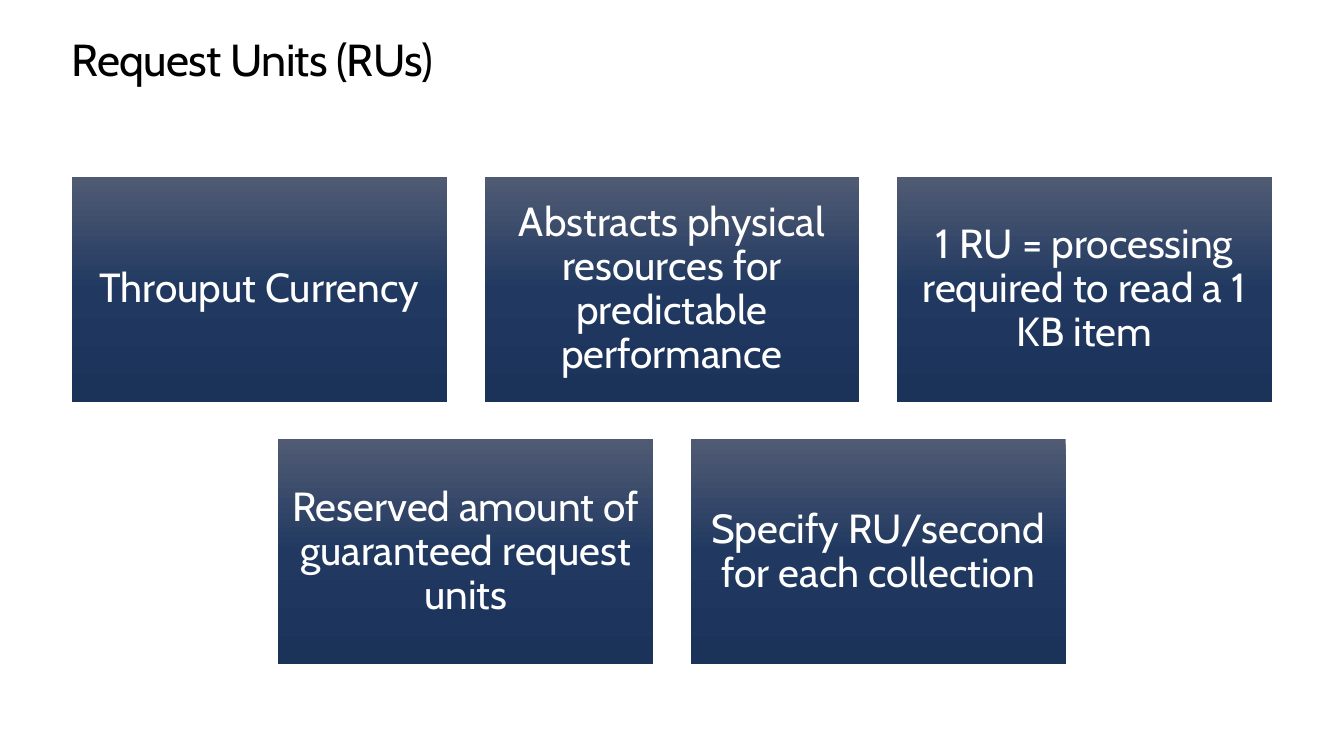
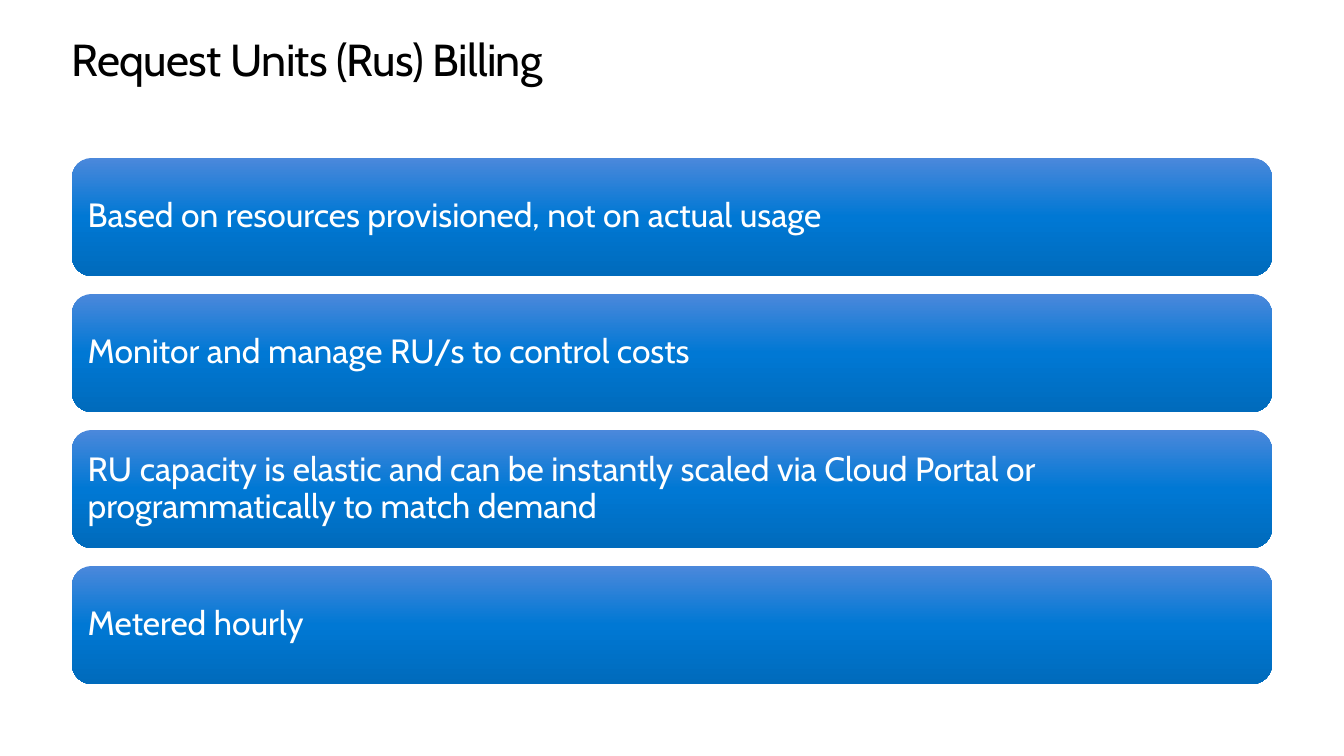
from copy import deepcopy

from pptx import Presentation
from pptx.dml.color import RGBColor
from pptx.enum.shapes import MSO_SHAPE as Shape
from pptx.enum.text import MSO_ANCHOR as Anchor, PP_ALIGN as Align
from pptx.oxml.ns import qn
from pptx.util import Pt

UNITS_TITLE = "Request Units (RUs)"
UNITS_ROWS = [
    [
        "Throuput Currency",
        "Abstracts physical resources for predictable performance",
        "1 RU = processing required to read a 1 KB item",
    ],
    [
        "Reserved amount of guaranteed request units",
        "Specify RU/second for each collection",
    ],
]
BILLING_TITLE = "Request Units (Rus) Billing"
BILLING_POINTS = [
    "Based on resources provisioned, not on actual usage",
    "Monitor and manage RU/s to control costs",
    "RU capacity is elastic and can be instantly scaled via Cloud Portal or "
    "programmatically to match demand",
    "Metered hourly",
]

FONT = "Cabin"
BLACK, WHITE = "000000", "FFFFFF"
NAVY = ["505B73", "213961", "1B3259"]
BLUE = ["4B88DB", "0078D4", "006BBC"]

SLIDE_W, SLIDE_H = 1344, 756
LEFT, CONTENT_W = 72, 1200
TITLE_TOP, TITLE_H = 35, 50
CARD_W, CARD_H, CARDS_TOP = 375, 225, 177
BAR_H, BAR_GAP, BARS_TOP = 118, 18, 158


def px(length):
    return round(length * 914400 / 100.8)


def color(hex_code):
    return RGBColor.from_string(hex_code)


def write(shape, text, size, ink=WHITE, align=Align.LEFT, anchor=Anchor.MIDDLE,
          inset=0, line_spacing=0.9, tracking=None):
    """Set the shape's text; tracking is in hundredths of a point."""
    frame = shape.text_frame
    frame.word_wrap = True
    frame.vertical_anchor = anchor
    frame.margin_left = frame.margin_right = px(inset)
    frame.margin_top = frame.margin_bottom = px(min(inset, 12))
    paragraph = frame.paragraphs[0]
    paragraph.alignment = align
    paragraph.line_spacing = line_spacing
    run = paragraph.add_run()
    run.text = text
    run.font.name = FONT
    run.font.size = Pt(size)
    run.font.color.rgb = color(ink)
    if tracking is not None:
        run.font._element.set("spc", str(tracking))


def fill_gradient(shape, colors):
    """Spread the colours evenly from top to bottom."""
    shape.fill.gradient()
    shape.fill.gradient_angle = 270
    stop_list = shape._element.spPr.find(qn("a:gradFill")).find(qn("a:gsLst"))
    while len(stop_list) < len(colors):
        stop_list.append(deepcopy(stop_list[-1]))
    for i, (stop, hex_code) in enumerate(zip(shape.fill.gradient_stops, colors)):
        stop.position = i / (len(colors) - 1)
        stop.color.rgb = color(hex_code)


def add_panel(slide, preset, left, top, width, height, colors, text, **text_format):
    panel = slide.shapes.add_shape(preset, px(left), px(top), px(width), px(height))
    panel.shadow.inherit = False
    panel.line.fill.background()
    fill_gradient(panel, colors)
    write(panel, text, **text_format)


def add_titled_slide(prs, title):
    slide = prs.slides.add_slide(prs.slide_layouts[6])
    heading = slide.shapes.add_textbox(px(LEFT), px(TITLE_TOP), px(CONTENT_W), px(TITLE_H))
    write(heading, title, size=32, ink=BLACK, anchor=Anchor.TOP,
          line_spacing=Pt(36.2), tracking=-50)
    return slide


def build_units(prs):
    slide = add_titled_slide(prs, UNITS_TITLE)
    columns = max(len(row) for row in UNITS_ROWS)
    gap = (CONTENT_W - columns * CARD_W) / (columns - 1)
    for r, row in enumerate(UNITS_ROWS):
        row_w = len(row) * (CARD_W + gap) - gap
        row_left = LEFT + (CONTENT_W - row_w) / 2
        for c, text in enumerate(row):
            add_panel(slide, Shape.RECTANGLE, row_left + c * (CARD_W + gap),
                      CARDS_TOP + r * (CARD_H + gap), CARD_W, CARD_H, NAVY, text,
                      size=29, align=Align.CENTER, inset=12)


def build_billing(prs):
    slide = add_titled_slide(prs, BILLING_TITLE)
    for i, text in enumerate(BILLING_POINTS):
        add_panel(slide, Shape.ROUNDED_RECTANGLE, LEFT, BARS_TOP + i * (BAR_H + BAR_GAP),
                  CONTENT_W, BAR_H, BLUE, text, size=24, inset=10)


def main():
    prs = Presentation()
    prs.slide_width, prs.slide_height = px(SLIDE_W), px(SLIDE_H)
    build_units(prs)
    build_billing(prs)
    prs.save("out.pptx")


if __name__ == "__main__":
    main()
